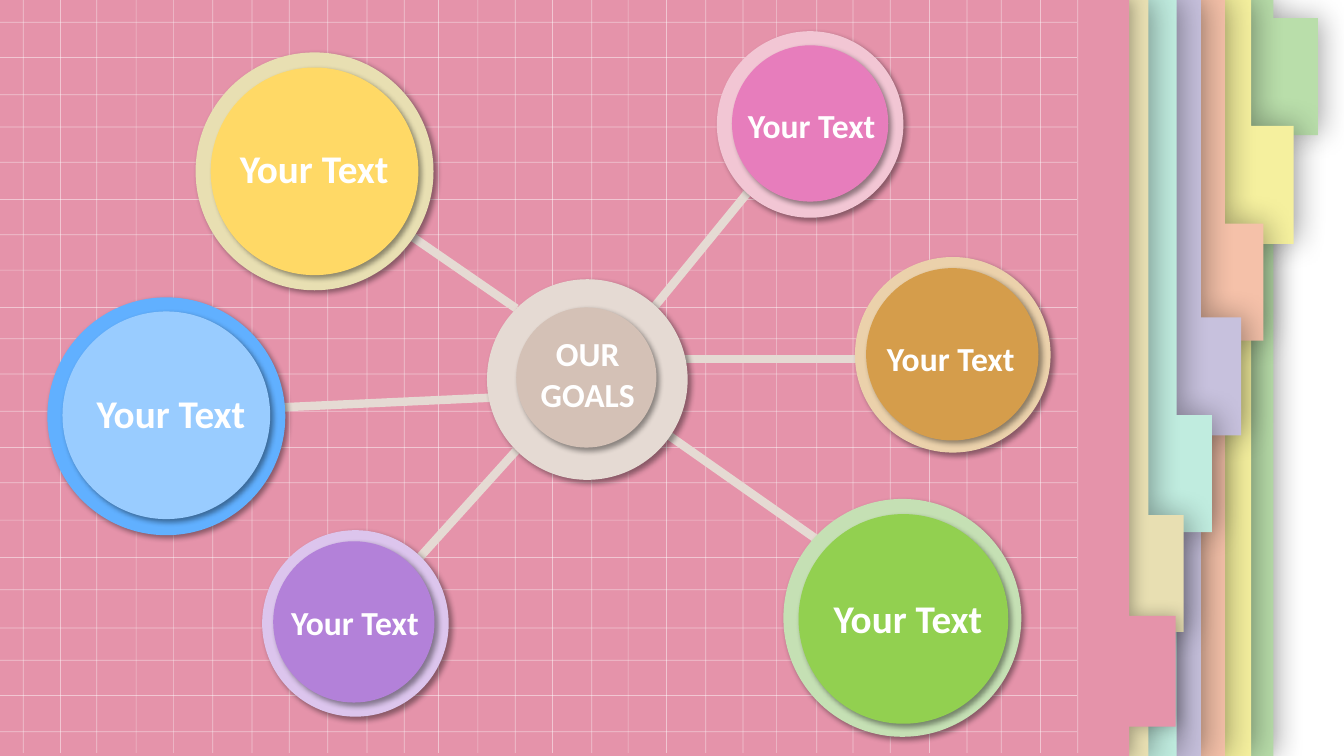
from lxml import etree
from pptx import Presentation
from pptx.dml.color import RGBColor
from pptx.enum.shapes import MSO_CONNECTOR, MSO_SHAPE
from pptx.enum.text import MSO_ANCHOR, PP_ALIGN
from pptx.oxml.ns import qn
from pptx.util import Inches, Pt

STRAIGHT = MSO_CONNECTOR.STRAIGHT
OVAL = MSO_SHAPE.OVAL
MIDDLE = MSO_ANCHOR.MIDDLE
CENTER = PP_ALIGN.CENTER

SLIDE_W, SLIDE_H = 13.33, 7.5
FONT = "Calibri"
WHITE = "FFFFFF"
SPOKE_COLOR = "E5DAD3"

# Shadows: opacity %, blur pt, distance pt, direction in degrees
PAGE_SHADOW = (34, 21, 3, 0)
FRONT_SHADOW = (30, 12, 3, 0)
BUBBLE_SHADOW = (40, 4, 3, 45)

# Notebook pages, back to front: page edge, tab top, tab right, tab bottom, color, shadow
PAGES = [
    (12.63, 0.18, 13.07, 1.34, "B9DEAA", PAGE_SHADOW),
    (12.41, 1.25, 12.83, 2.42, "F5F09E", PAGE_SHADOW),
    (12.15, 2.22, 12.53, 3.38, "F5C1A9", PAGE_SHADOW),
    (11.91, 3.15, 12.31, 4.32, "C7C1DD", PAGE_SHADOW),
    (11.67, 4.12, 12.02, 5.28, "C0ECDF", PAGE_SHADOW),
    (11.39, 5.11, 11.74, 6.27, "E8DFB2", PAGE_SHADOW),
    (11.2, 6.11, 11.66, 7.21, "E593AA", FRONT_SHADOW),
]

# Hand-ruled grid on the front page, slightly uneven
COLUMNS = [0.23, 0.6, 0.96, 1.35, 1.72, 2.11, 2.5, 2.87, 3.25, 3.64,
           4.01, 4.35, 4.74, 5.11, 5.48, 5.87, 6.23, 6.61, 7, 7.37,
           7.7, 8.1, 8.46, 8.83, 9.22, 9.59, 9.93, 10.32, 10.69]
ROWS = [0.22, 0.57, 0.94, 1.26, 1.61, 1.98, 2.33, 2.68, 3.05, 3.36, 3.71,
        4.08, 4.44, 4.79, 5.16, 5.53, 5.85, 6.23, 6.55, 6.9, 7.26]
COLUMN_TOP, COLUMN_BOTTOM = -0.03, 7.47
ROW_LEFT, ROW_RIGHT = -0.19, 10.68

# Spokes from the hub to each bubble
SPOKES = [
    ((6.33, 3.56), (8.67, 3.56)),
    ((6.52, 4.24), (8.37, 5.54)),
    ((6.42, 3.13), (7.49, 1.82)),
    ((5.12, 3.06), (3.96, 2.26)),
    ((5.12, 4.47), (4, 5.71)),
    ((4.99, 3.94), (2.59, 4.05)),
]

# Bubbles: ring (left, top, diameter, color), disc (same), label box, lines, size
BUBBLES = [
    ((4.83, 2.77, 1.99, "E5DAD3"), (5.12, 3.05, 1.39, "D4C1B6"),
     (5.26, 3.25, 1.14, 0.91), ["OUR", "GOALS"], 24),
    ((2.6, 5.26, 1.85, "DCC5ED"), (2.71, 5.37, 1.6, "B381D9"),
     (2.78, 5.92, 1.48, 0.5), ["Your Text"], 24),
    ((0.47, 2.95, 2.36, "61B0FF"), (0.62, 3.09, 2.06, "99CCFF"),
     (0.85, 3.81, 1.69, 0.57), ["Your Text"], 28),
    ((7.77, 4.95, 2.36, "C5E0B4"), (7.92, 5.1, 2.08, "92D050"),
     (8.16, 5.84, 1.69, 0.57), ["Your Text"], 28),
    ((7.11, 0.31, 1.85, "F2C6D4"), (7.26, 0.45, 1.55, "E77DBC"),
     (7.31, 0.99, 1.48, 0.5), ["Your Text"], 24),
    ((1.94, 0.52, 2.36, "E8DFB2"), (2.09, 0.67, 2.06, "FFD966"),
     (2.27, 1.38, 1.69, 0.57), ["Your Text"], 28),
    ((8.48, 2.55, 1.94, "EBD1AB"), (8.59, 2.66, 1.71, "D59D4B"),
     (8.69, 3.3, 1.48, 0.5), ["Your Text"], 24),
]


def rgb(color):
    return RGBColor.from_string(color)


def set_alpha(color_element, percent):
    alpha = etree.SubElement(color_element, qn("a:alpha"))
    alpha.set("val", str(percent * 1000))


def paint(shape, color, shadow):
    """Give a shape a plain fill, no outline and an outer shadow."""
    opacity, blur, distance, direction = shadow
    shape.fill.solid()
    shape.fill.fore_color.rgb = rgb(color)
    shape.line.fill.background()
    shape.shadow.inherit = False
    effects = shape._element.spPr.find(qn("a:effectLst"))
    outer = etree.SubElement(effects, qn("a:outerShdw"), blurRad=str(Pt(blur)),
                             dist=str(Pt(distance)), dir=str(direction * 60000),
                             algn="tl", rotWithShape="0")
    set_alpha(etree.SubElement(outer, qn("a:srgbClr"), val="000000"), opacity)


def add_page(shapes, edge, tab_top, tab_right, tab_bottom, color, shadow):
    left = edge - SLIDE_W
    outline = [(left, 0), (edge, 0), (edge, tab_top), (tab_right, tab_top),
               (tab_right, tab_bottom), (edge, tab_bottom),
               (edge, SLIDE_H), (left, SLIDE_H)]
    points = [(Inches(x), Inches(y)) for x, y in outline]
    builder = shapes.build_freeform(*points[0])
    builder.add_line_segments(points[1:], close=True)
    paint(builder.convert_to_shape(), color, shadow)


def add_line(shapes, start, end, color, width, opacity=100):
    line = shapes.add_connector(STRAIGHT, *map(Inches, start + end))
    line.line.color.rgb = rgb(color)
    line.line.width = Pt(width)
    sp_pr = line._element.spPr
    if opacity < 100:
        set_alpha(sp_pr.find(".//" + qn("a:srgbClr")), opacity)
    etree.SubElement(sp_pr, qn("a:effectLst"))


def add_circle(shapes, left, top, diameter, color):
    circle = shapes.add_shape(OVAL, *map(Inches, (left, top, diameter, diameter)))
    paint(circle, color, BUBBLE_SHADOW)


def add_label(shapes, lines, box, size, color=WHITE, bold=True):
    frame = shapes.add_textbox(*map(Inches, box)).text_frame
    frame.word_wrap = False
    frame.vertical_anchor = MIDDLE
    for index, line in enumerate(lines):
        paragraph = frame.add_paragraph() if index else frame.paragraphs[0]
        paragraph.alignment = CENTER
        run = paragraph.add_run()
        run.text = line
        run.font.name = FONT
        run.font.size = Pt(size)
        run.font.bold = bold
        run.font.color.rgb = rgb(color)


def main():
    deck = Presentation()
    deck.slide_width, deck.slide_height = Inches(SLIDE_W), Inches(SLIDE_H)
    shapes = deck.slides.add_slide(deck.slide_layouts[6]).shapes

    for page in PAGES:
        add_page(shapes, *page)

    grid = [((x, COLUMN_TOP), (x, COLUMN_BOTTOM)) for x in COLUMNS]
    grid += [((ROW_LEFT, y), (ROW_RIGHT, y)) for y in ROWS]
    for start, end in grid:
        add_line(shapes, start, end, WHITE, 0.5, opacity=47)

    for start, end in SPOKES:
        add_line(shapes, start, end, SPOKE_COLOR, 6)

    for ring, disc, label_box, lines, size in BUBBLES:
        add_circle(shapes, *ring)
        add_circle(shapes, *disc)
        add_label(shapes, lines, label_box, size)

    deck.save("out.pptx")


if __name__ == "__main__":
    main()
